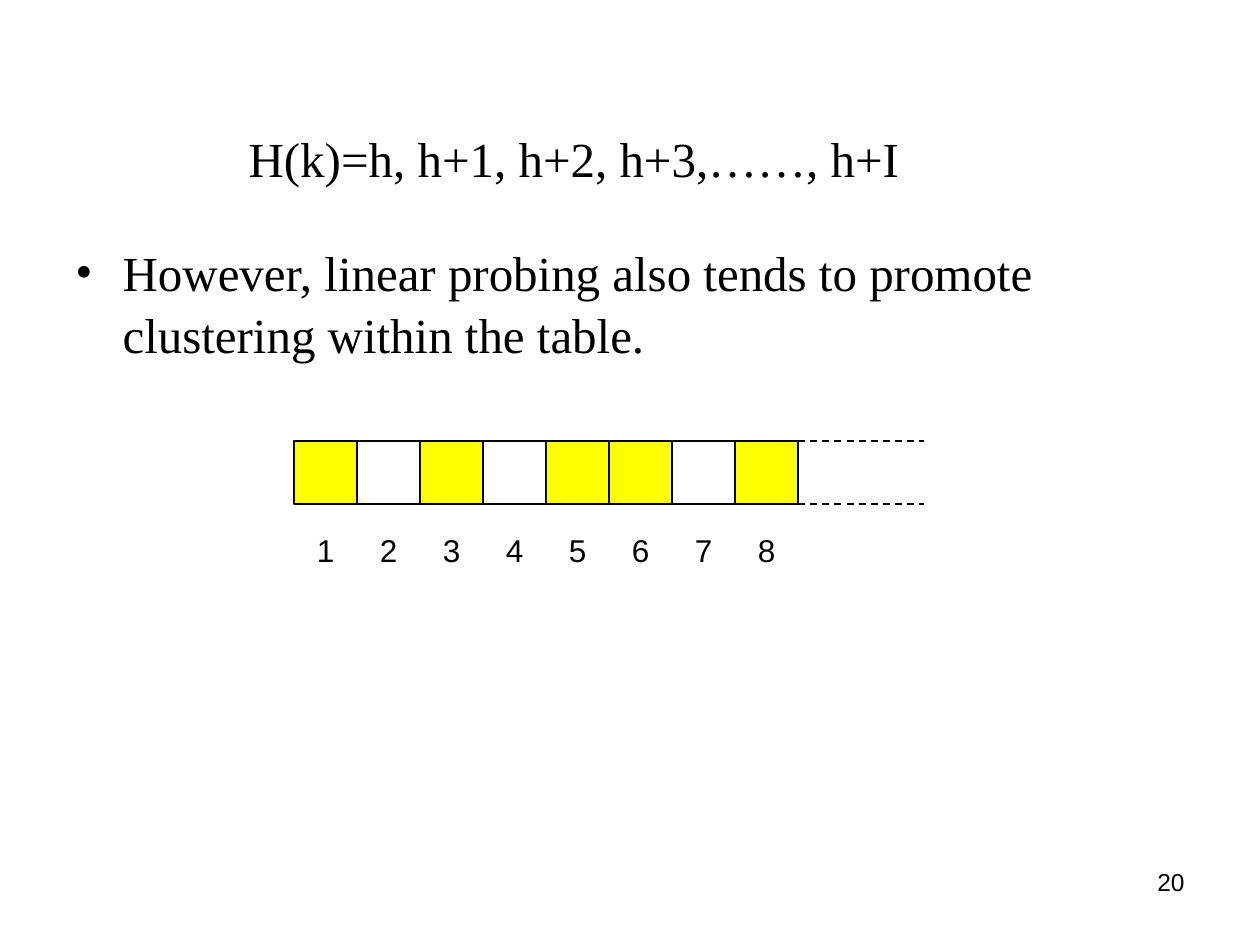
import pptx
import pptx.dml.color
import pptx.enum.dml
import pptx.enum.shapes
import pptx.enum.text
import pptx.oxml
import pptx.oxml.ns
import pptx.util

Pt = pptx.util.Pt
BLACK = pptx.dml.color.RGBColor(0x00, 0x00, 0x00)
WHITE = pptx.dml.color.RGBColor(0xFF, 0xFF, 0xFF)
YELLOW = pptx.dml.color.RGBColor(0xFF, 0xFF, 0x00)
NS = pptx.oxml.ns.nsdecls("a")

SLOTS = 8
OCCUPIED = {1, 3, 5, 6, 8}


def add_text_box(slide, left, top, width, height):
    sp = slide.shapes.add_textbox(Pt(left), Pt(top), Pt(width), Pt(height))
    sp.text_frame.word_wrap = True
    return sp.text_frame


def add_run(p, text, size, font):
    r = p.add_run()
    r.text = text
    r.font.size = Pt(size)
    r.font.name = font
    r.font.color.rgb = BLACK


def set_indent(p, margin, first=0, bullet=None):
    pPr = p._p.get_or_add_pPr()
    pPr.set("marL", str(Pt(margin)))
    pPr.set("indent", str(Pt(first)))
    if bullet:
        pPr.append(pptx.oxml.parse_xml(f'<a:buFont {NS} typeface="Times New Roman"/>'))
        pPr.append(pptx.oxml.parse_xml(f'<a:buChar {NS} char="{bullet}"/>'))


def add_body(slide, left, top, width, height):
    tf = add_text_box(slide, left, top, width, height)
    tf.margin_top = Pt(5.6)
    formula = tf.paragraphs[0]
    set_indent(formula, 99)
    add_run(formula, "H(k)=h, h+1, h+2, h+3,……, h+I", 28, "Times New Roman")

    remark = tf.add_paragraph()
    set_indent(remark, 27, -27, "•")
    remark.space_before = Pt(30)
    add_run(remark, "However, linear probing also tends to promote "
            "clustering within the table.", 28, "Times New Roman")
    for p in tf.paragraphs:
        p.line_spacing = 1.05


def add_dashed_line(slide, left, y, length):
    line = slide.shapes.add_connector(
        pptx.enum.shapes.MSO_CONNECTOR.STRAIGHT, Pt(left), Pt(y), Pt(left + length), Pt(y))
    line.line.color.rgb = BLACK
    line.line.width = Pt(1)
    line.line.dash_style = pptx.enum.dml.MSO_LINE.DASH
    line._element.spPr.append(pptx.oxml.parse_xml(f"<a:effectLst {NS}/>"))


def add_hash_table(slide, left, top, cell):
    """Draw the row of slots, their numbers and the dashed continuation."""
    for i in range(SLOTS):
        sp = slide.shapes.add_shape(
            pptx.enum.shapes.MSO_SHAPE.RECTANGLE,
            Pt(left + i * cell), Pt(top), Pt(cell), Pt(cell))
        sp.shadow.inherit = False
        sp.fill.solid()
        sp.fill.fore_color.rgb = YELLOW if i + 1 in OCCUPIED else WHITE
        sp.line.color.rgb = BLACK
        sp.line.width = Pt(1)

    for i in range(SLOTS):
        tf = add_text_box(slide, left + 6 + i * cell, top + 48, cell, 29)
        add_run(tf.paragraphs[0], str(i + 1), 18, "Arial")

    for y in (top + cell, top):
        add_dashed_line(slide, left + SLOTS * cell, y, 2 * cell)


def add_slide_number(slide, left, top, width, height):
    p = add_text_box(slide, left, top, width, height).paragraphs[0]
    p.alignment = pptx.enum.text.PP_ALIGN.RIGHT
    add_run(p, "20", 14, "Arial")


def main():
    prs = pptx.Presentation()
    prs.slide_width, prs.slide_height = Pt(720), Pt(540)
    slide = prs.slides.add_slide(prs.slide_layouts[6])
    add_slide_number(slide, 516, 492, 168, 37)
    add_body(slide, 36, 66, 648, 356)
    add_hash_table(slide, 168, 252, 36)
    prs.save("out.pptx")


if __name__ == "__main__":
    main()
